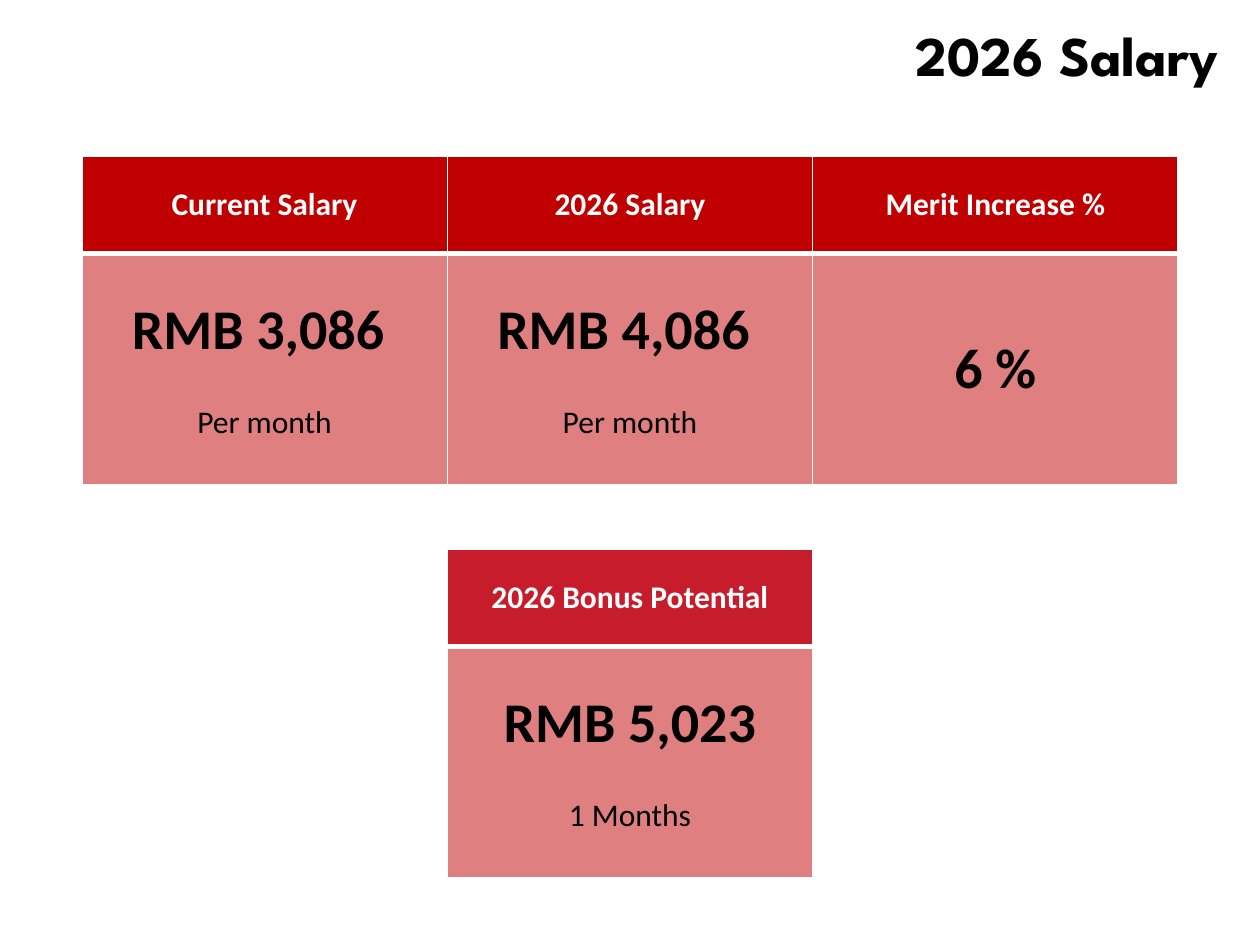
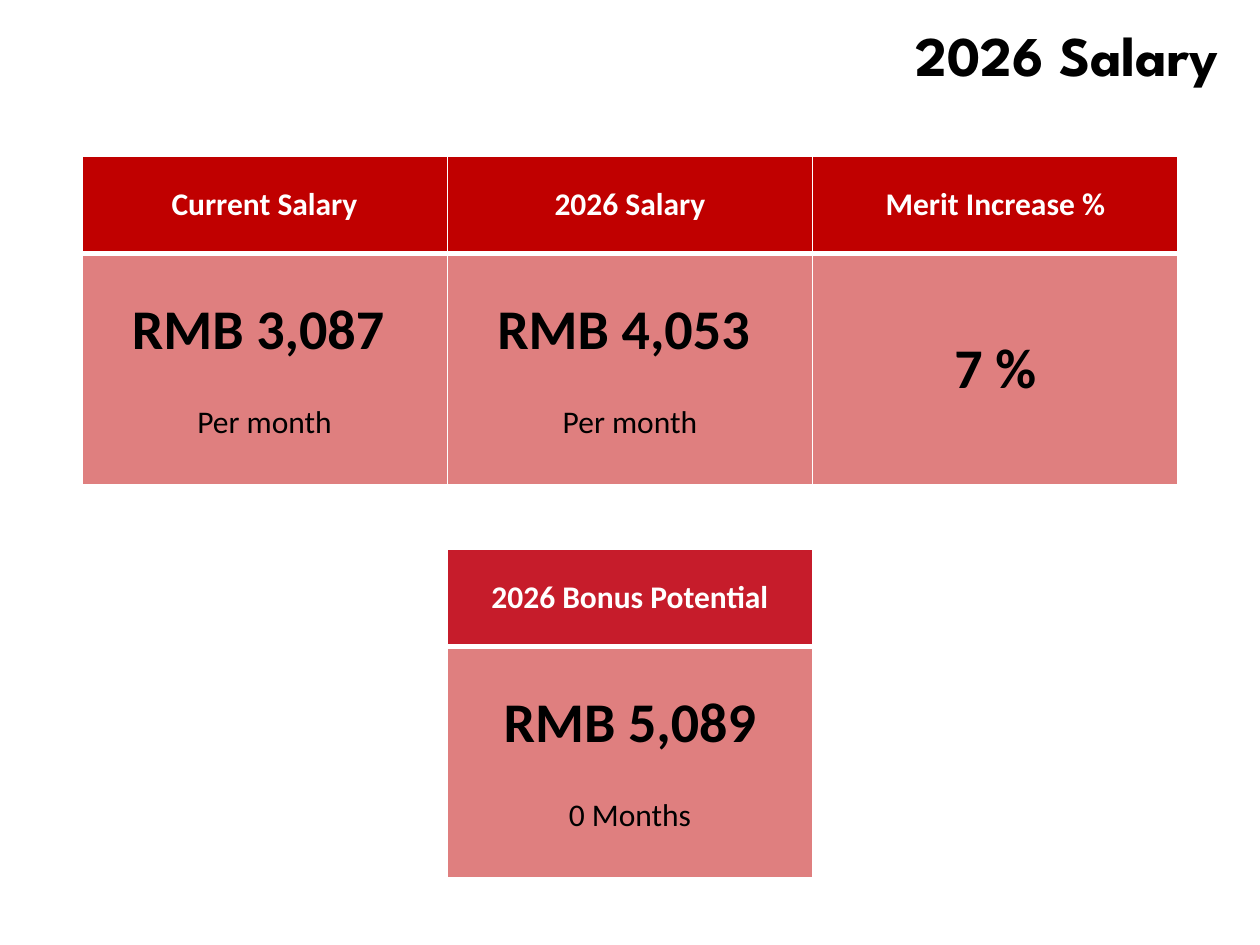
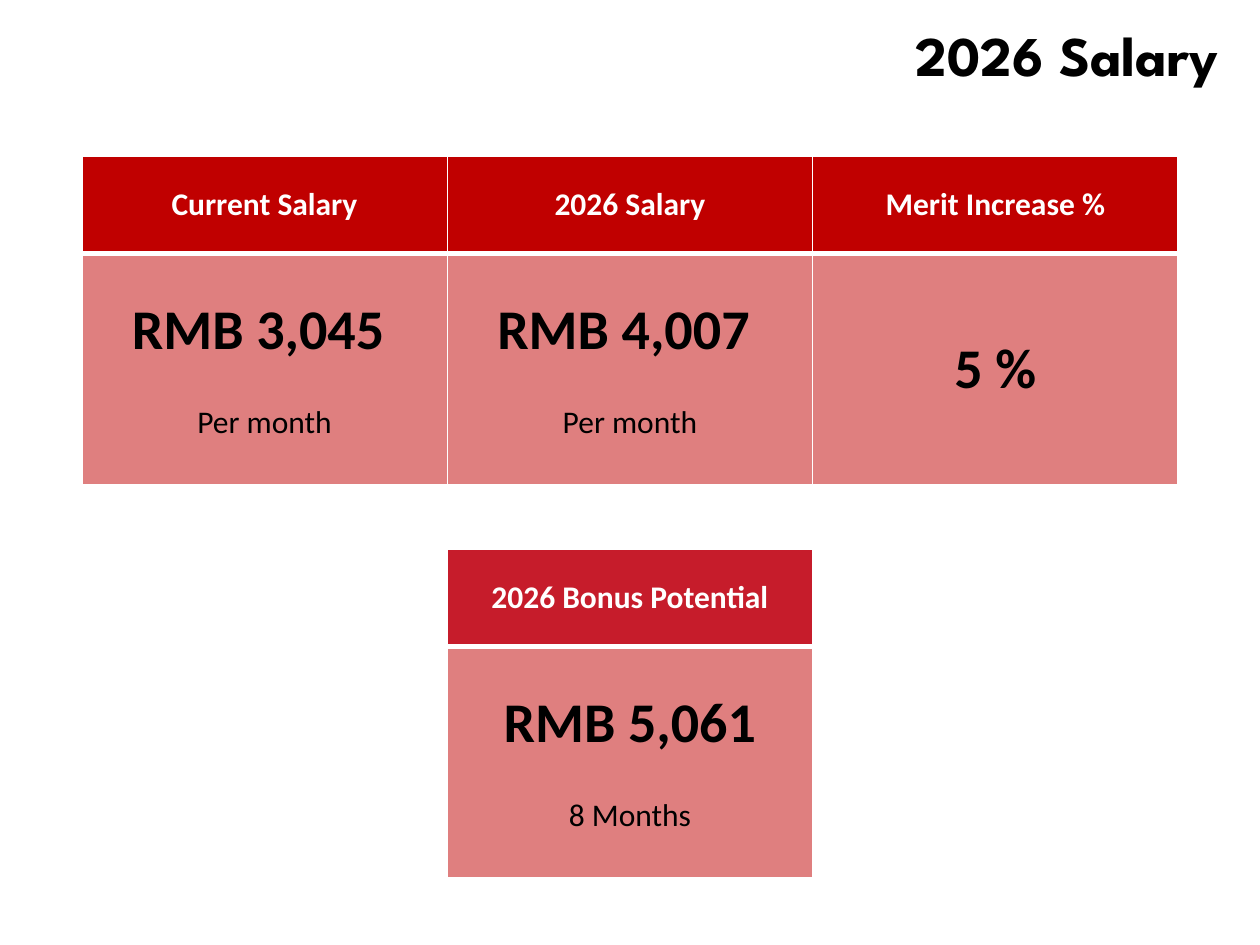
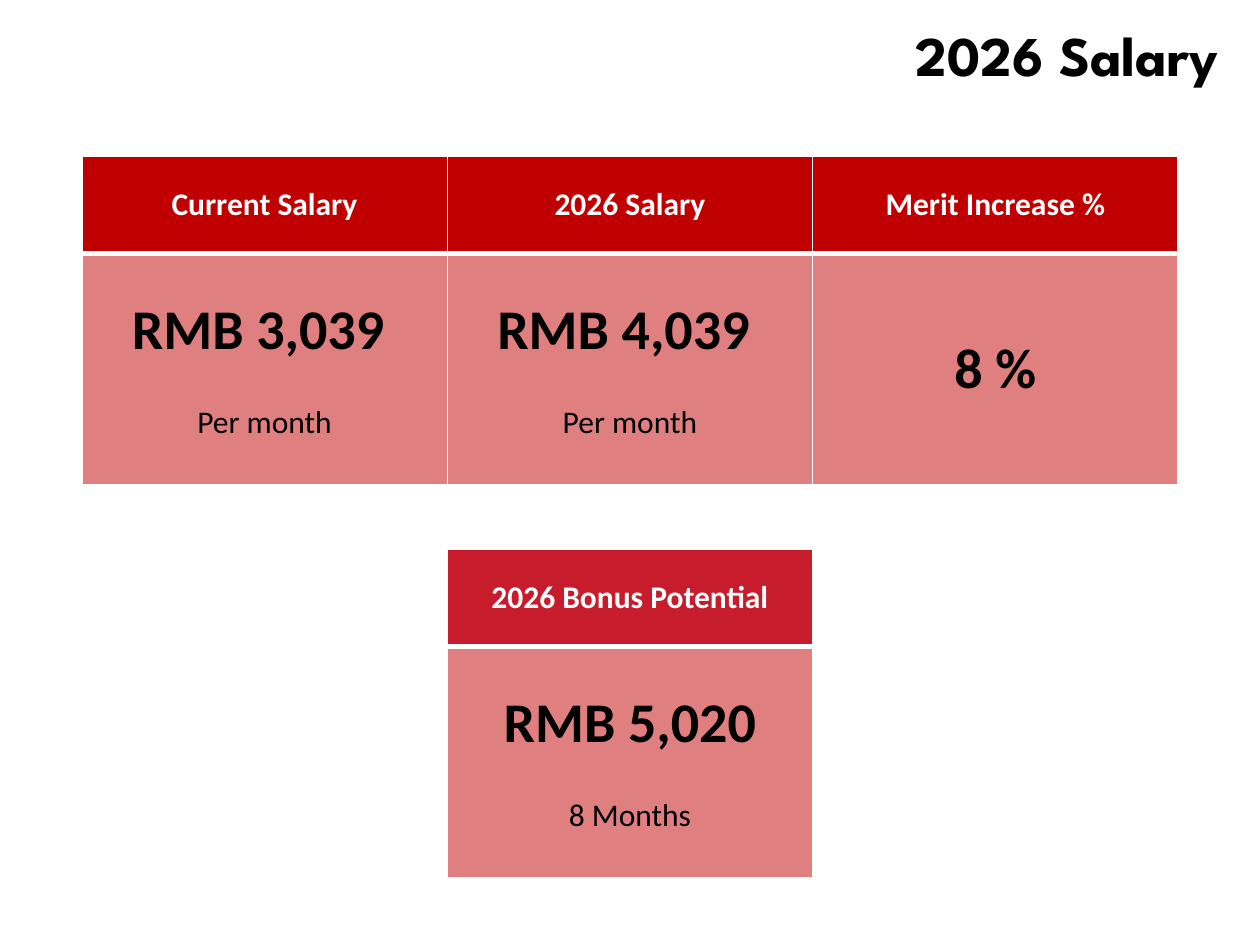
from dataclasses import dataclass

import lxml.etree
import pptx
import pptx.dml.color
import pptx.enum.text
import pptx.oxml.ns
import pptx.presentation
import pptx.slide
import pptx.table
import pptx.text.text
import pptx.util

RGBColor = pptx.dml.color.RGBColor
Inches = pptx.util.Inches
Pt = pptx.util.Pt
Align = pptx.enum.text.PP_ALIGN
Anchor = pptx.enum.text.MSO_ANCHOR
qn = pptx.oxml.ns.qn

BLACK = RGBColor(0x00, 0x00, 0x00)
WHITE = RGBColor(0xFF, 0xFF, 0xFF)
SALARY_RED = RGBColor(0xC0, 0x00, 0x00)
BONUS_RED = RGBColor(0xC6, 0x1C, 0x2B)
BONUS_PINK = RGBColor(0xDF, 0x7F, 0x7F)

TITLE_FONT = "League Spartan"
BODY_FONT = "Calibri"
LARGE = Pt(32)
SMALL = Pt(18)
DETAIL_GAP = Pt(22)

CARD_WIDTH = Inches(2.9)
HEADER_HEIGHT = Inches(0.77)
VALUE_HEIGHT = Inches(1.84)
FIRST_COLUMN = Inches(0.65)
SALARY_TOP = Inches(1.24)
BONUS_TOP = Inches(4.36)
THIN, THICK = Pt(1), Pt(3)


@dataclass(frozen=True)
class Employee:
    current: str
    upcoming: str
    merit: str
    bonus: str
    bonus_months: str


@dataclass(frozen=True)
class Card:
    heading: str
    amount: str
    detail: str = ""
    column: int = 0
    top: int = SALARY_TOP
    header_color: RGBColor = SALARY_RED
    value_color: RGBColor = SALARY_RED
    value_opacity: int = 50


EMPLOYEES = [
    Employee("3,086", "4,086", "6", "5,023", "1"),
    Employee("3,087", "4,053", "7", "5,089", "0"),
    Employee("3,045", "4,007", "5", "5,061", "8"),
    Employee("3,039", "4,039", "8", "5,020", "8"),
]


def cards_for(employee: Employee) -> list[Card]:
    return [
        Card("Current Salary", f"RMB {employee.current} ", "Per month"),
        Card("2026 Bonus Potential", f"RMB {employee.bonus}",
             f"{employee.bonus_months} Months", column=1, top=BONUS_TOP,
             header_color=BONUS_RED, value_color=BONUS_PINK, value_opacity=100),
        Card("2026 Salary", f"RMB {employee.upcoming} ", "Per month", column=1),
        Card("Merit Increase %", f"{employee.merit} %", column=2),
    ]


def style_paragraph(paragraph: pptx.text.text._Paragraph, size: int, color: RGBColor,
                    bold: bool = True, font: str = BODY_FONT,
                    align: Align = Align.CENTER) -> None:
    paragraph.alignment = align
    for run in paragraph.runs:
        run.font.name = font
        run.font.size = size
        run.font.bold = bold
        run.font.color.rgb = color


def style_cell(cell: pptx.table._Cell, color: RGBColor, top_border: int,
               bottom_border: int, opacity: int = 100) -> None:
    """Give the cell white borders, a fill and middle anchoring."""
    cell.vertical_anchor = Anchor.MIDDLE
    properties = cell._tc.get_or_add_tcPr()
    borders = {"a:lnL": THIN, "a:lnR": THIN, "a:lnT": top_border, "a:lnB": bottom_border}
    for tag, width in borders.items():
        line = lxml.etree.SubElement(properties, qn(tag), w=str(int(width)))
        line_fill = lxml.etree.SubElement(line, qn("a:solidFill"))
        lxml.etree.SubElement(line_fill, qn("a:srgbClr"), val=str(WHITE))
    cell.fill.solid()
    cell.fill.fore_color.rgb = color
    if opacity < 100:
        fill_color = properties.find(f"{qn('a:solidFill')}/{qn('a:srgbClr')}")
        lxml.etree.SubElement(fill_color, qn("a:alpha"), val=str(opacity * 1000))


def add_title(slide: pptx.slide.Slide, title: str) -> None:
    frame = slide.shapes.add_textbox(
        Inches(3.51), Inches(0.11), Inches(6.26), Inches(1.11)).text_frame
    frame.word_wrap = True
    frame.vertical_anchor = Anchor.TOP
    frame.text = title
    style_paragraph(frame.paragraphs[0], LARGE, BLACK, font=TITLE_FONT, align=Align.RIGHT)


def add_card(slide: pptx.slide.Slide, card: Card) -> None:
    """Draw a heading cell above the cell with its amount and detail."""
    table = slide.shapes.add_table(
        2, 1, FIRST_COLUMN + card.column * CARD_WIDTH, card.top,
        CARD_WIDTH, HEADER_HEIGHT + VALUE_HEIGHT).table
    table.horz_banding = False
    table.rows[0].height = HEADER_HEIGHT
    table.rows[1].height = VALUE_HEIGHT

    header, value = table.cell(0, 0), table.cell(1, 0)
    style_cell(header, card.header_color, THIN, THICK)
    header.text_frame.text = card.heading
    style_paragraph(header.text_frame.paragraphs[0], SMALL, WHITE)

    style_cell(value, card.value_color, THICK, THIN, card.value_opacity)
    value.text_frame.text = card.amount
    style_paragraph(value.text_frame.paragraphs[0], LARGE, BLACK)
    if card.detail:
        detail = value.text_frame.add_paragraph()
        detail.text = card.detail
        detail.space_before = DETAIL_GAP
        style_paragraph(detail, SMALL, BLACK, bold=False)


def add_salary_slide(deck: pptx.presentation.Presentation, employee: Employee) -> None:
    slide = deck.slides.add_slide(deck.slide_layouts[6])
    add_title(slide, "2026 Salary")
    for card in cards_for(employee):
        add_card(slide, card)


def main() -> None:
    deck = pptx.Presentation()
    deck.slide_width, deck.slide_height = Inches(10), Inches(7.5)
    for employee in EMPLOYEES:
        add_salary_slide(deck, employee)
    deck.save("out.pptx")


if __name__ == "__main__":
    main()
